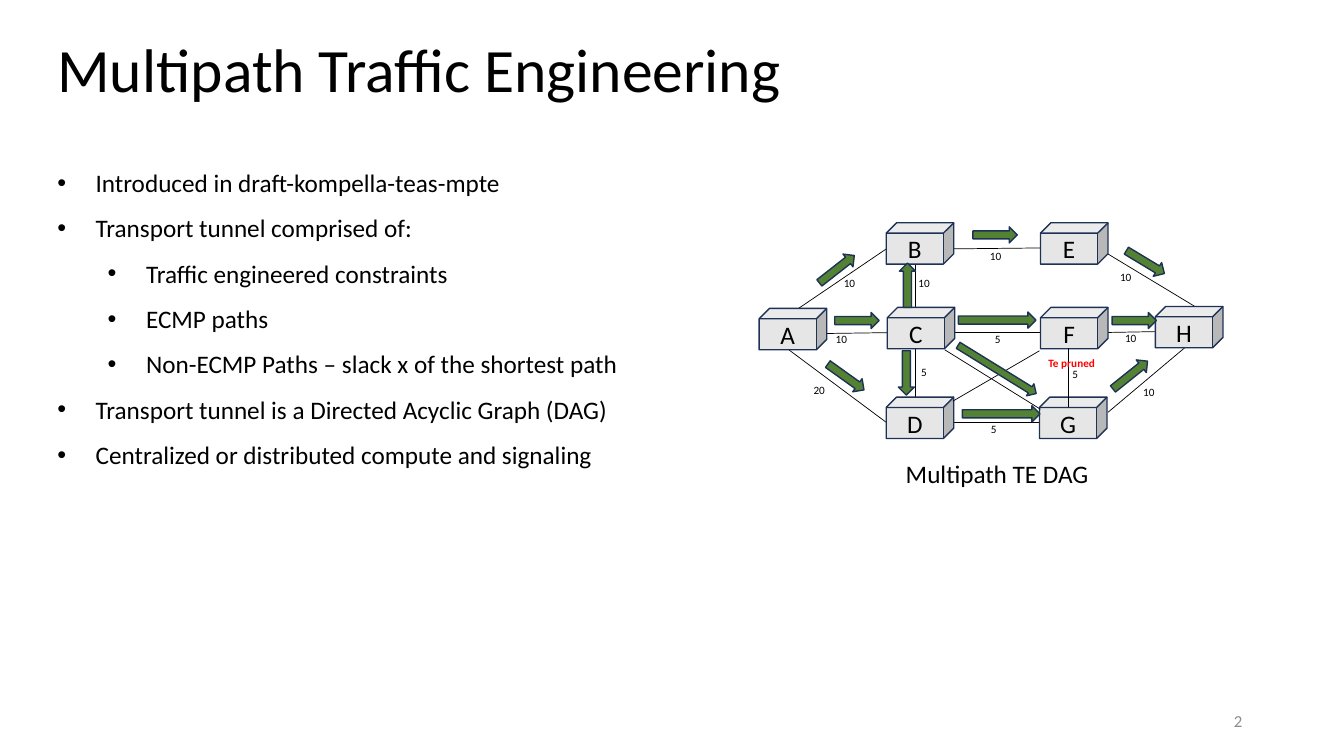
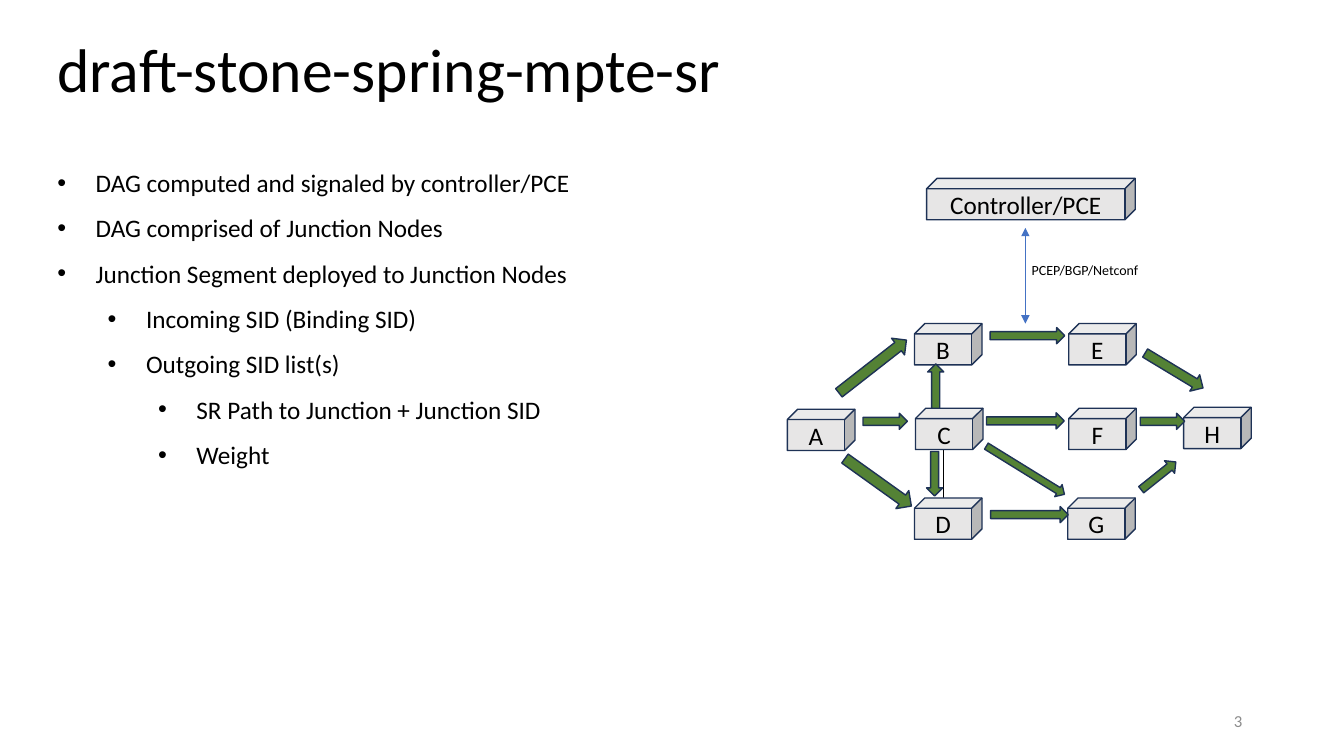
"""Build two slides on multipath traffic engineering."""
from lxml.etree import SubElement as Sub
from pptx import Presentation
from pptx.dml.color import RGBColor as Rgb
from pptx.enum.shapes import MSO_CONNECTOR as Conn, MSO_SHAPE as Kind
from pptx.enum.text import MSO_ANCHOR as Anchor, PP_ALIGN as Align
from pptx.oxml.ns import qn
from pptx.util import Pt

PX = 9144
FONT = "Calibri"
BLACK = Rgb(0, 0, 0)
GRAY = Rgb(0x8C, 0x8C, 0x8C)
PALE = Rgb(0xE7, 0xE6, 0xE6)
NAVY = Rgb(0x1E, 0x32, 0x56)
GREEN = Rgb(0x54, 0x82, 0x35)
BLUE = Rgb(0x44, 0x72, 0xC4)
RED = Rgb(0xFF, 0, 0)

TITLE = (47, -1, 1150, 145)
BODY = (47, 146, 708, 323)
FOOT = (942, 695, 300, 40)
STEP, HANG = 50, 38
NODE = (67, 41)
TAG = (35, 24)

PAGES = [
    (2, "Multipath Traffic Engineering", [
        (0, "Introduced in draft-kompella-teas-mpte"),
        (0, "Transport tunnel comprised of:"),
        (1, "Traffic engineered constraints"),
        (1, "ECMP paths"),
        (1, "Non-ECMP Paths – slack x of the shortest path"),
        (0, "Transport tunnel is a Directed Acyclic Graph (DAG)"),
        (0, "Centralized or distributed compute and signaling")]),
    (3, "draft-stone-spring-mpte-sr", [
        (0, "DAG computed and signaled by controller/PCE"),
        (0, "DAG comprised of Junction Nodes"),
        (0, "Junction Segment deployed to Junction Nodes"),
        (1, "Incoming SID (Binding SID)"),
        (1, "Outgoing SID list(s)"),
        (2, "SR Path to Junction + Junction SID"),
        (2, "Weight")]),
]

NODES = {"B": (879, 221), "C": (880, 305), "A": (753, 306), "D": (879, 394),
         "G": (1031, 394), "E": (1032, 221), "F": (1032, 305), "H": (1146, 304)}

DOWN = (908, 345, 908, 404)
BACK = [
    (810, 331, 880, 330), (781, 346, 879, 419), (1031, 419, 936, 419),
    (1089, 246, 1185, 304), DOWN, (937, 330, 1032, 330),
    (1099, 409, 1175, 345), (792, 306, 879, 247), (937, 247, 1032, 246),
    (1089, 330, 1146, 329), (908, 262, 908, 315)]
FRONT = [(1060, 404, 1060, 345), (937, 347, 1032, 406), (945, 398, 1031, 348)]

FLOWS = [
    (981, 279, 16, 77, 270), (1117, 296, 16, 44, 270), (842, 296, 16, 44, 270),
    (985, 372, 16, 77, 270), (1113, 350, 16, 44, 231.3), (891, 348, 16, 44, 0),
    (982, 321, 14, 91, 301.7), (892, 261, 16, 44, 180)]
SHORT = [(822, 245, 16, 44, 232), (979, 211, 16, 44, 270),
         (1128, 238, 16, 44, 301.1), (831, 352, 16, 44, 305.6)]
LONG = [(827, 221, 21, 85, 232), (983, 196, 16, 74, 270),
        (1127, 234, 19, 67, 301.1), (832, 338, 22, 81, 305.6)]

COSTS = [
    ("20", 795, 375), ("10", 825, 269), ("10", 817, 325), ("10", 970, 242),
    ("5", 972, 325), ("5", 899, 358), ("5", 1049, 359), ("5", 968, 414),
    ("10", 1104, 324), ("10", 1122, 377), ("10", 1099, 263), ("10", 899, 269)]


def emu(box):
    return [n * PX for n in box]


def style(para, size, color=BLACK, align=None, bold=None):
    font = para.font
    font.name, font.size, font.bold = FONT, Pt(size), bold
    font.color.rgb = color
    para.alignment = align


def text(slide, box, words, size, color=BLACK, align=Align.CENTER,
         anchor=Anchor.TOP, bold=None):
    frame = slide.shapes.add_textbox(*emu(box)).text_frame
    frame.word_wrap = True
    frame.vertical_anchor = anchor
    para = frame.paragraphs[0]
    para.text = words
    style(para, size, color, align, bold)
    return para


def bullets(slide, items):
    frame = slide.shapes.add_textbox(*emu(BODY)).text_frame
    frame.word_wrap = True
    for i, (level, words) in enumerate(items):
        para = frame.add_paragraph() if i else frame.paragraphs[0]
        para.text, para.level, para.line_spacing = words, level, 1.5
        style(para, 18)
        props = para._p.get_or_add_pPr()
        props.set("marL", str((HANG + STEP * level) * PX))
        props.set("indent", str(-HANG * PX))
        Sub(props, qn("a:buFont"), typeface="Arial")
        Sub(props, qn("a:buChar"), char="•")


def line(slide, ends, color=BLACK, heads=False):
    link = slide.shapes.add_connector(Conn.STRAIGHT, *emu(ends))
    link.line.color.rgb = color
    link.line.width = Pt(0.5)
    if heads:
        for tag in ("a:headEnd", "a:tailEnd"):
            Sub(link.line._get_or_add_ln(), qn(tag), type="triangle")
    Sub(link._element.spPr, qn("a:effectLst"))


def solid(slide, kind, box, fill):
    shape = slide.shapes.add_shape(kind, *emu(box))
    shape.shadow.inherit = False
    shape.fill.solid()
    shape.fill.fore_color.rgb = fill
    shape.line.color.rgb = NAVY
    shape.line.width = Pt(1)
    return shape


def cube(slide, box, words):
    frame = solid(slide, Kind.CUBE, box, PALE).text_frame
    frame.vertical_anchor = Anchor.MIDDLE
    para = frame.paragraphs[0]
    para.text = words
    style(para, 18, align=Align.CENTER)


def graph(slide, dx, dy, back, front, flows):
    def move(ends):
        x, y, u, v = ends
        return x + dx, y + dy, u + dx, v + dy

    for ends in back:
        line(slide, move(ends))
    for name, (x, y) in NODES.items():
        cube(slide, (x + dx, y + dy, *NODE), name)
    for ends in front:
        line(slide, move(ends))
    for x, y, w, h, turn in flows:
        box = (x + dx, y + dy, w, h)
        solid(slide, Kind.DOWN_ARROW, box, GREEN).rotation = turn


def start(deck, page, title, items):
    slide = deck.slides.add_slide(deck.slide_layouts[6])
    head = text(slide, TITLE, title, 44, align=Align.LEFT, anchor=Anchor.MIDDLE)
    head.line_spacing = 0.9
    bullets(slide, items)
    text(slide, FOOT, str(page), 12, GRAY, Align.RIGHT, Anchor.MIDDLE)
    return slide


def main():
    deck = Presentation()
    deck.slide_width, deck.slide_height = emu((1333, 750))
    first, second = [start(deck, *page) for page in PAGES]

    graph(first, 0, 0, BACK, FRONT, FLOWS + SHORT)
    for cost, x, y in COSTS:
        text(first, (x, y, *TAG), cost, 8)
    text(first, (864, 450, 250, 40), "Multipath TE DAG", 18)
    text(first, (1025, 349, 76, 24), "Te pruned", 8, RED, bold=True)

    graph(second, 28, 100, [DOWN], [], FLOWS + LONG)
    cube(second, (919, 177, 207, 41), "Controller/PCE")
    line(second, (1017, 226, 1017, 321), BLUE, heads=True)
    text(second, (1007, 255, 138, 27), "PCEP/BGP/Netconf", 10)
    deck.save("out.pptx")


if __name__ == "__main__":
    main()
